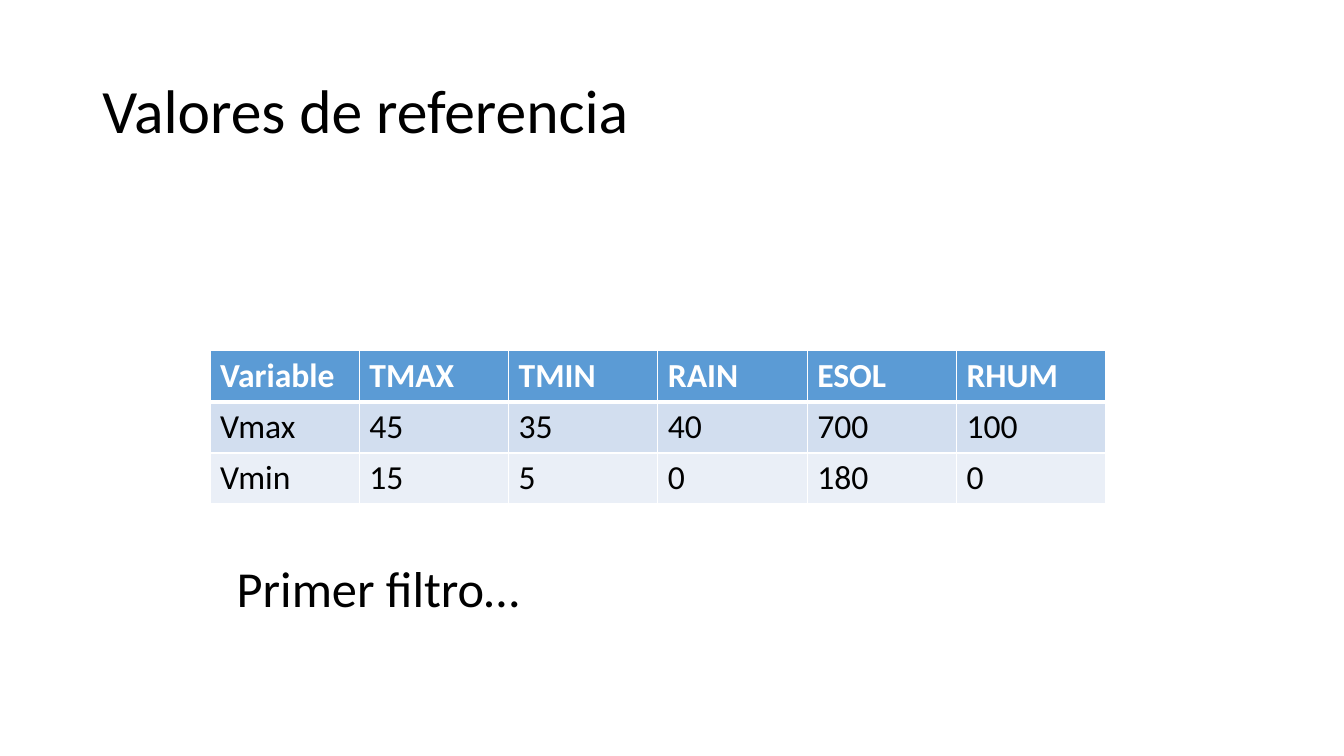
from dataclasses import dataclass

from lxml import etree
from pptx import Presentation
from pptx.dml.color import RGBColor
from pptx.enum.text import MSO_ANCHOR, MSO_AUTO_SIZE, PP_ALIGN
from pptx.oxml.ns import qn
from pptx.util import Pt

LEFT = PP_ALIGN.LEFT
MIDDLE = MSO_ANCHOR.MIDDLE
NO_AUTOFIT = MSO_AUTO_SIZE.NONE
TITLE_ONLY = 5

TITLE = "Valores de referencia"
NOTE = "Primer filtro…"
REFERENCE_VALUES = [
    ["Variable", "TMAX", "TMIN", "RAIN", "ESOL", "RHUM"],
    ["Vmax", "45", "35", "40", "700", "100"],
    ["Vmin", "15", "5", "0", "180", "0"],
]


@dataclass(frozen=True)
class Theme:
    font: str = "Calibri"
    title_size: int = 44
    note_size: int = 36
    table_size: int = 24
    text: str = "000000"
    light: str = "FFFFFF"
    row_fills: tuple = ("5B9BD5", "D2DEEF", "EAEFF7")
    rule: int = 1
    header_rule: int = 3


THEME = Theme()
SLIDE_SIZE = (960, 540)
TITLE_BOX = (66, 28.75, 828, 104.4)
TABLE_LEFT, TABLE_TOP, TABLE_WIDTH = 150, 250.5, 640
ROW_HEIGHT = 36.5
NOTE_BOX = (162, 370, 628, 104.4)


def style_paragraph(para, size, color, bold=False):
    para.alignment = LEFT
    para.font.name = THEME.font
    para.font.size = Pt(size)
    para.font.bold = bold
    para.font.color.rgb = RGBColor.from_string(color)


def write_line(box, text, size):
    frame = box.text_frame
    frame.word_wrap = True
    frame.auto_size = NO_AUTOFIT
    frame.vertical_anchor = MIDDLE
    frame.text = text
    para = frame.paragraphs[0]
    para.line_spacing = 0.9
    style_paragraph(para, size, THEME.text)


def set_borders(cell, widths):
    properties = cell._tc.get_or_add_tcPr()
    for index, (side, width) in enumerate(widths.items()):
        line = etree.Element(qn(f"a:ln{side}"), w=str(Pt(width)))
        fill = etree.SubElement(line, qn("a:solidFill"))
        etree.SubElement(fill, qn("a:srgbClr"), val=THEME.light)
        properties.insert(index, line)


def add_reference_table(page):
    row_count, column_count = len(REFERENCE_VALUES), len(REFERENCE_VALUES[0])
    table = page.shapes.add_table(
        row_count, column_count, Pt(TABLE_LEFT), Pt(TABLE_TOP),
        Pt(TABLE_WIDTH), Pt(ROW_HEIGHT * row_count),
    ).table
    for column in table.columns:
        column.width = Pt(TABLE_WIDTH / column_count)
    for row_index, values in enumerate(REFERENCE_VALUES):
        table.rows[row_index].height = Pt(ROW_HEIGHT)
        header = row_index == 0
        widths = {
            "L": THEME.rule,
            "R": THEME.rule,
            "T": THEME.header_rule if row_index == 1 else THEME.rule,
            "B": THEME.header_rule if header else THEME.rule,
        }
        for column_index, value in enumerate(values):
            cell = table.cell(row_index, column_index)
            cell.text = value
            cell.fill.solid()
            cell.fill.fore_color.rgb = RGBColor.from_string(THEME.row_fills[row_index])
            color = THEME.light if header else THEME.text
            style_paragraph(cell.text_frame.paragraphs[0], THEME.table_size, color, header)
            set_borders(cell, widths)


def main():
    deck = Presentation()
    deck.slide_width, deck.slide_height = map(Pt, SLIDE_SIZE)
    page = deck.slides.add_slide(deck.slide_layouts[TITLE_ONLY])

    title = page.shapes.title
    title.left, title.top, title.width, title.height = map(Pt, TITLE_BOX)
    write_line(title, TITLE, THEME.title_size)

    add_reference_table(page)

    note = page.shapes.add_textbox(*map(Pt, NOTE_BOX))
    write_line(note, NOTE, THEME.note_size)

    deck.save("out.pptx")


if __name__ == "__main__":
    main()
